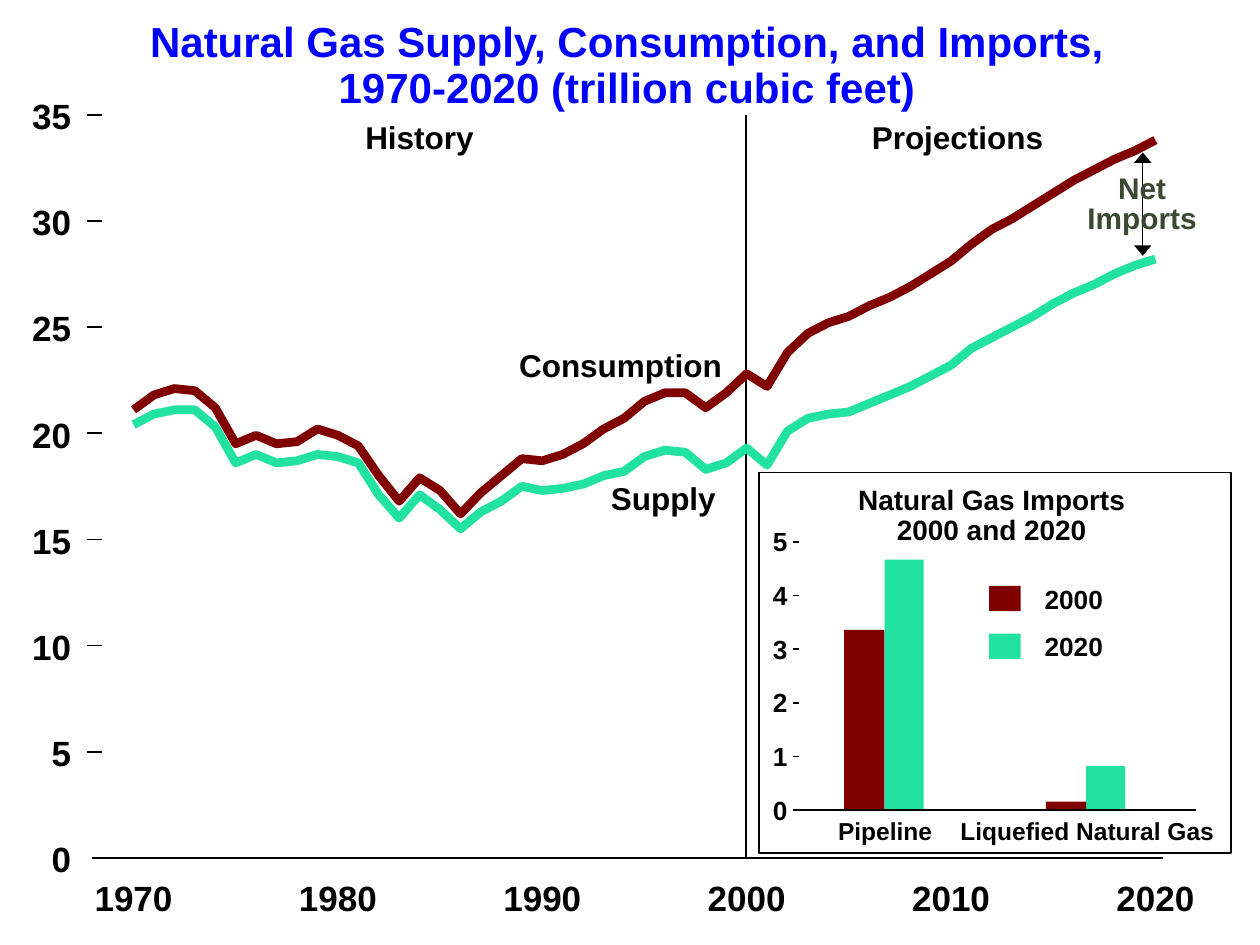
from dataclasses import dataclass
from typing import NamedTuple

from lxml.etree import SubElement
from pptx import Presentation
from pptx.dml.color import RGBColor
from pptx.enum.shapes import MSO_CONNECTOR as Link, MSO_SHAPE as Shape
from pptx.enum.text import MSO_AUTO_SIZE as Fit, PP_ALIGN as Align
from pptx.oxml.ns import qn
from pptx.util import Inches, Pt

CELL = 0.1  # the slide is a grid of 100 columns by 75 rows


@dataclass(frozen=True)
class Theme:
    font: str = "Arial"
    ink: str = "000000"
    title: str = "0000FF"
    red: str = "800000"
    green: str = "22E2A1"
    olive: str = "3B4832"
    head: float = 24
    axis: float = 20
    label: float = 18
    net: float = 17
    sub: float = 16
    small: float = 15
    tiny: float = 14
    curve: float = 5
    rule: float = 1
    thin: float = 0.75


class Box(NamedTuple):
    col: float
    row: float
    cols: float
    rows: float


class Label(NamedTuple):
    box: Box
    lines: tuple[str, ...]
    size: float
    color: str = "000000"
    align: Align = Align.CENTER
    lead: float | None = None


class Scale(NamedTuple):
    """Places a value: start is its cell at value first, step is cells per unit."""
    start: float
    step: float
    first: float = 0

    def at(self, value: float) -> float:
        return self.start + (value - self.first) * self.step


class Ticks(NamedTuple):
    scale: Scale
    values: range
    col: float
    cols: float
    right: float  # right edge of the labels
    digit: float  # width of one digit
    rows: float
    lift: float
    size: float


class Bar(NamedTuple):
    col: float
    cols: float
    value: float
    color: str


T = Theme()
YEAR = Scale(10.6, 1.622, 1970)
GAS = Scale(68.1, -59 / 35)
TRADE = Scale(64.3, -4.26)
SPLIT = 59.2

USED = (
    21.1, 21.8, 22.1, 22.0, 21.2, 19.5, 19.9, 19.5, 19.6, 20.2,
    19.9, 19.4, 18.0, 16.8, 17.9, 17.3, 16.2, 17.2, 18.0, 18.8,
    18.7, 19.0, 19.5, 20.2, 20.7, 21.5, 21.9, 21.9, 21.2, 21.9,
    22.8, 22.2, 23.8, 24.7, 25.2, 25.5, 26.0, 26.4, 26.9, 27.5,
    28.1, 28.9, 29.6, 30.1, 30.7, 31.3, 31.9, 32.4, 32.9, 33.3, 33.8)
MADE = (
    20.4, 20.9, 21.1, 21.1, 20.3, 18.6, 19.0, 18.6, 18.7, 19.0,
    18.9, 18.6, 17.1, 16.0, 17.1, 16.4, 15.5, 16.3, 16.8, 17.5,
    17.3, 17.4, 17.6, 18.0, 18.2, 18.9, 19.2, 19.1, 18.3, 18.6,
    19.3, 18.5, 20.1, 20.7, 20.9, 21.0, 21.4, 21.8, 22.2, 22.7,
    23.2, 24.0, 24.5, 25.0, 25.5, 26.1, 26.6, 27.0, 27.5, 27.9, 28.2)

BARS = (
    Bar(70.2, 3.1, 4.67, T.green), Bar(86.2, 3.1, 0.82, T.green),
    Bar(67, 3.2, 3.36, T.red), Bar(83, 3.2, 0.16, T.red))
KEYS = (("2000", T.red, 46.5), ("2020", T.green, 50.3))

MAIN = Ticks(GAS, range(0, 36, 5), 6.9, 1.2, 5.65, 1.56, 3.3, 1.6, T.axis)
INSET = Ticks(TRADE, range(6), 62.9, 0.5, 62.5, 1.2, 2.5, 1.3, T.small)

HEAD = Label(Box(11.8, 1.7, 75.9, 7.2),
             ("Natural Gas Supply, Consumption, and Imports,",
              "1970-2020 (trillion cubic feet)"), T.head, T.title, lead=0.9)
NOTES = (
    Label(Box(28.8, 9.4, 9, 3), ("History",), T.label),
    Label(Box(69, 9.4, 14, 3), ("Projections",), T.label),
    Label(Box(48.3, 38, 8.7, 3), ("Supply",), T.label),
    Label(Box(41, 27.5, 16.5, 3), ("Consumption",), T.label))
NET = Label(Box(86.3, 13.9, 8.7, 4.8), ("Net", "Imports"),
            T.net, T.olive, lead=0.85)
NAMES = (
    Label(Box(66.5, 64.8, 7.5, 2.3), ("Pipeline",), T.tiny),
    Label(Box(76.2, 64.8, 20.2, 2.3), ("Liquefied Natural Gas",), T.tiny),
    Label(Box(68.1, 38.6, 21.2, 4.8),
          ("Natural Gas Imports", "2000 and 2020"), T.sub, lead=0.9))


def cell(n: float) -> int:
    return Inches(n * CELL)


def tint(code: str) -> RGBColor:
    return RGBColor.from_string(code)


def write(page, label: Label) -> None:
    frame = page.shapes.add_textbox(*map(cell, label.box)).text_frame
    frame.margin_left = frame.margin_right = 0
    frame.margin_top = frame.margin_bottom = 0
    frame.word_wrap = False
    frame.auto_size = Fit.SHAPE_TO_FIT_TEXT
    for i, line in enumerate(label.lines):
        para = frame.add_paragraph() if i else frame.paragraphs[0]
        para.alignment = label.align
        if label.lead:
            para.line_spacing = label.lead
        run = para.add_run()
        run.text = line
        font = run.font
        font.name, font.size, font.bold = T.font, Pt(label.size), True
        font.color.rgb = tint(label.color)


def rule(page, x1: float, y1: float, x2: float, y2: float,
         width: float = T.rule, heads: bool = False) -> None:
    line = page.shapes.add_connector(Link.STRAIGHT, *map(cell, (x1, y1, x2, y2)))
    line.line.color.rgb = tint(T.ink)
    line.line.width = Pt(width)
    props = line._element.spPr
    if heads:
        for end in ("a:headEnd", "a:tailEnd"):
            SubElement(props.find(qn("a:ln")), qn(end),
                       type="triangle", w="lg", len="med")
    SubElement(props, qn("a:effectLst"))


def block(page, box: Box, fill: str | None = None) -> None:
    """Draw a filled rectangle, or an outlined one when there is no fill."""
    rect = page.shapes.add_shape(Shape.RECTANGLE, *map(cell, box))
    rect.shadow.inherit = False
    if fill:
        rect.fill.solid()
        rect.fill.fore_color.rgb = tint(fill)
        rect.line.fill.background()
    else:
        rect.fill.background()
        rect.line.color.rgb = tint(T.ink)
        rect.line.width = Pt(T.rule)


def curve(page, values: tuple[float, ...], color: str) -> None:
    dots = [(cell(YEAR.at(1970 + i)), cell(GAS.at(v)))
            for i, v in enumerate(values)]
    pen = page.shapes.build_freeform(*dots[0])
    pen.add_line_segments(dots[1:], close=False)
    trace = pen.convert_to_shape()
    trace.shadow.inherit = False
    trace.fill.background()
    trace.line.color.rgb = tint(color)
    trace.line.width = Pt(T.curve)


def ticks(page, axis: Ticks) -> None:
    for value in axis.values:
        row = axis.scale.at(value)
        if value or axis is INSET:
            rule(page, axis.col, row, axis.col + axis.cols, row)
        text = str(value)
        wide = axis.digit * len(text)
        box = Box(axis.right - wide, row - axis.lift, wide, axis.rows)
        write(page, Label(box, (text,), axis.size, align=Align.RIGHT))


def history(page) -> None:
    write(page, HEAD)
    rule(page, SPLIT, GAS.at(35), SPLIT, GAS.at(0))
    curve(page, USED, T.red)
    curve(page, MADE, T.green)
    ticks(page, MAIN)
    for year in range(1970, 2021, 10):
        box = Box(YEAR.at(year) - 3.1, 69.6, 6.2, 3.3)
        write(page, Label(box, (str(year),), T.axis))
    for note in NOTES:
        write(page, note)
    rule(page, 90.7, 12.1, 90.7, 20.3, T.thin, heads=True)
    write(page, NET)
    rule(page, 7.3, GAS.at(0), 92.3, GAS.at(0), T.thin)


def imports(page) -> None:
    base = TRADE.at(0)
    for bar in BARS:
        top = TRADE.at(bar.value)
        block(page, Box(bar.col, top, bar.cols, base - top), bar.color)
    ticks(page, INSET)
    rule(page, 63.4, base, 94.9, base)
    for name in NAMES:
        write(page, name)
    for text, color, row in KEYS:
        block(page, Box(78.5, row, 2.5, 2), color)
        write(page, Label(Box(82.9, row - 0.25, 5, 2.5), (text,),
                          T.small, align=Align.LEFT))
    block(page, Box(60.25, 37.5, 37.45, 30.2))


def main() -> None:
    deck = Presentation()
    deck.slide_width, deck.slide_height = cell(100), cell(75)
    page = deck.slides.add_slide(deck.slide_layouts[6])
    history(page)
    imports(page)
    deck.save("out.pptx")


if __name__ == "__main__":
    main()
